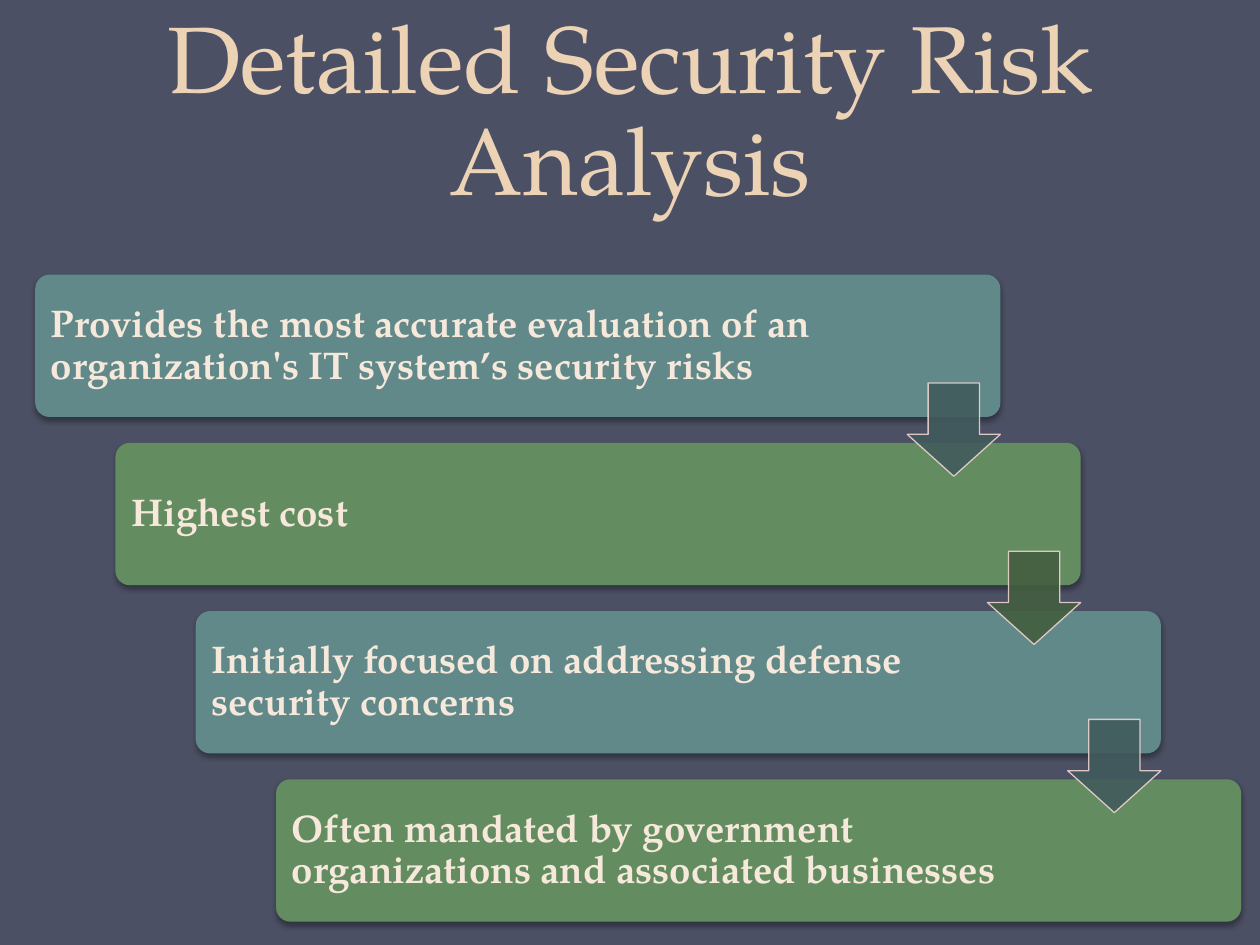
from lxml import etree
from pptx import Presentation, util as u
from pptx.dml.color import RGBColor
from pptx.enum import shapes, text
from pptx.oxml import parse_xml
from pptx.oxml.ns import nsdecls, qn

# Content: step text and its text width
TITLE = "Detailed Security Risk Analysis"
STEPS = [
    ("Provides the most accurate evaluation of an "
     "organization's IT system’s security risks", 6.34),
    ("Highest cost", 6.21),
    ("Initially focused on addressing defense security concerns", 6.22),
    ("Often mandated by government organizations "
     "and associated businesses", 6.21),
]

THEME = {
    "font": "TeX Gyre Pagella",
    "back": "4B5064", "title": "EDD3B6", "text": "F6E9DB", "edge": "EED3D0",
    "bars": ["61898A", "648C61"], "arrows": ["415B5C", "435E40"],
    "title_size": 54, "text_size": 22,
}

# Staircase geometry in inches
LEFT, TOP = 0.28, 2.18
STEP_X, STEP_Y = 0.637, 1.335
BAR_W, BAR_H = 7.66, 1.13
ARROW = 0.74
DROP = 0.86
PAD = 0.035


def color(name):
    return RGBColor.from_string(name)


def write(box, words, size, tint, bold=False):
    frame = box.text_frame
    frame.word_wrap = True
    frame.text = words
    para = frame.paragraphs[0]
    font = para.runs[0].font
    font.name, font.size, font.bold = THEME["font"], u.Pt(size), bold
    font.color.rgb = color(tint)
    return frame, para


def add_shape(slide, kind, place, fill, adjust):
    shape = slide.shapes.add_shape(kind, *map(u.Inches, place))
    shape.shadow.inherit = False
    shape.fill.solid()
    shape.fill.fore_color.rgb = color(fill)
    for i, value in enumerate(adjust):
        shape.adjustments[i] = value
    return shape


def add_bar(slide, x, y, fill):
    bar = add_shape(slide, shapes.MSO_SHAPE.ROUNDED_RECTANGLE,
                    (x, y, BAR_W, BAR_H), fill, [0.1])
    bar.line.fill.background()
    # Soft shadow below the bar
    effects = bar._element.spPr.find(qn("a:effectLst"))
    effects.append(parse_xml(
        f'<a:outerShdw {nsdecls("a")} blurRad="{u.Pt(3.1)}" dist="{u.Pt(1.8)}"'
        ' dir="5400000" rotWithShape="0"><a:srgbClr val="000000">'
        '<a:alpha val="35000"/></a:srgbClr></a:outerShdw>'))


def add_label(slide, x, y, width, words):
    box = slide.shapes.add_textbox(*map(
        u.Inches, (x + PAD, y + PAD, width, BAR_H - 2 * PAD)))
    frame, para = write(box, words, THEME["text_size"], THEME["text"], True)
    frame.vertical_anchor = text.MSO_ANCHOR.MIDDLE
    frame.margin_left = frame.margin_right = u.Inches(0.09)
    frame.margin_top = frame.margin_bottom = u.Inches(0.09)
    para.line_spacing = 0.9


def add_arrow(slide, x, y, fill):
    arrow = add_shape(slide, shapes.MSO_SHAPE.DOWN_ARROW,
                      (x + BAR_W - ARROW, y + DROP, ARROW, ARROW),
                      fill, [0.55, 0.45])
    arrow.line.color.rgb = color(THEME["edge"])
    arrow.line.width = u.Pt(0.75)
    # Slight transparency of fill and line
    for tint in arrow._element.spPr.iter(qn("a:srgbClr")):
        etree.SubElement(tint, qn("a:alpha"), val="90000")


def main():
    deck = Presentation()
    deck.slide_width, deck.slide_height = u.Inches(10), u.Inches(7.5)
    slide = deck.slides.add_slide(deck.slide_layouts[6])
    slide.background.fill.solid()
    slide.background.fill.fore_color.rgb = color(THEME["back"])

    # Title
    box = slide.shapes.add_textbox(*map(u.Inches, (0.5, 0, 9, 1.75)))
    frame, para = write(box, TITLE, THEME["title_size"], THEME["title"])
    frame.vertical_anchor = text.MSO_ANCHOR.BOTTOM
    para.alignment = text.PP_ALIGN.CENTER
    para.line_spacing = u.Pt(58)

    # Bars with labels, then the arrows on top
    spots = [(LEFT + i * STEP_X, TOP + i * STEP_Y) for i in range(len(STEPS))]
    for i, ((x, y), (words, width)) in enumerate(zip(spots, STEPS)):
        add_bar(slide, x, y, THEME["bars"][i % 2])
        add_label(slide, x, y, width, words)
    for i, (x, y) in enumerate(spots[:-1]):
        add_arrow(slide, x, y, THEME["arrows"][i % 2])

    deck.save("out.pptx")


if __name__ == "__main__":
    main()
